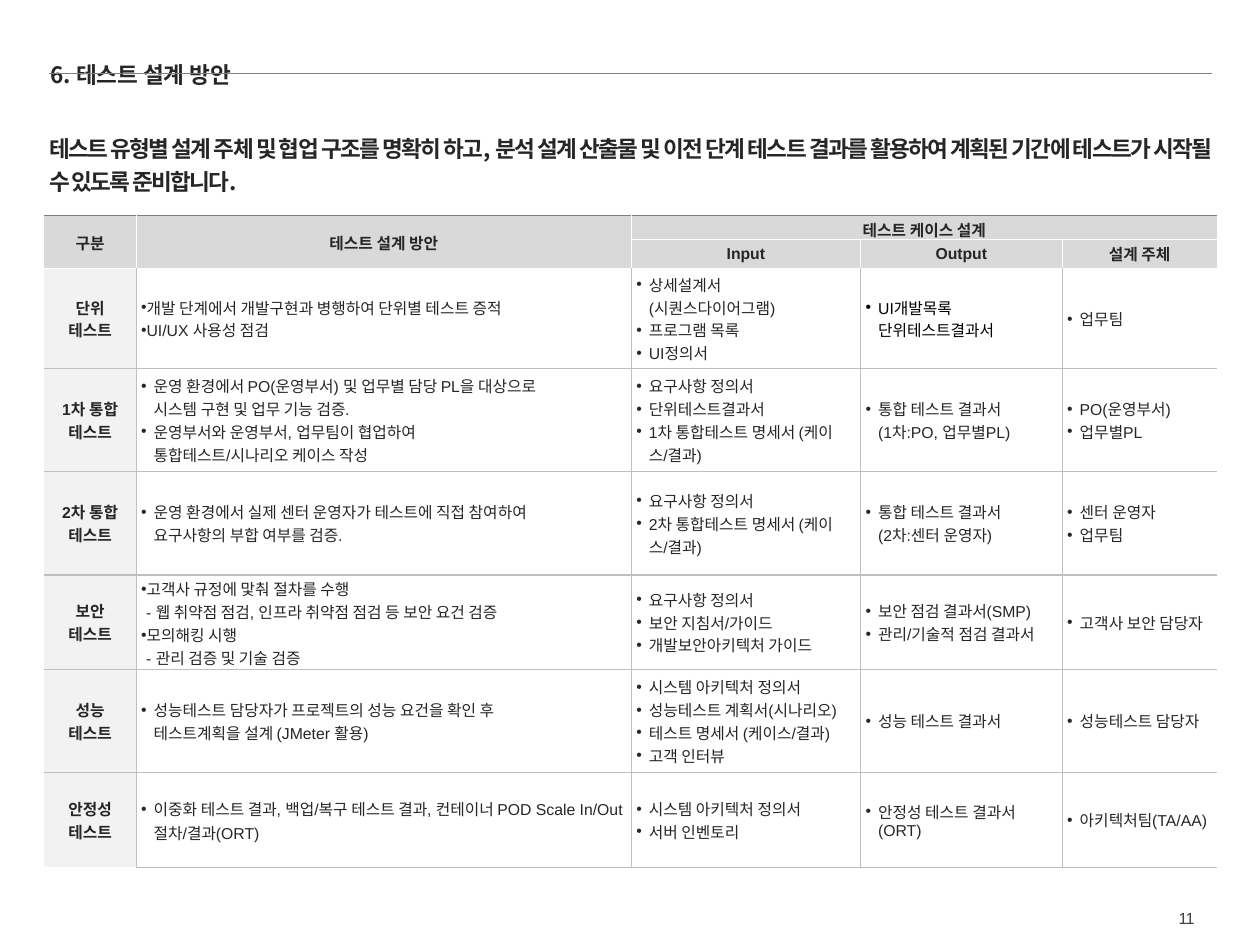
from dataclasses import dataclass

from lxml.etree import SubElement
from pptx import Presentation
from pptx.dml.color import RGBColor
from pptx.enum.dml import MSO_LINE
from pptx.enum.shapes import MSO_CONNECTOR as CONNECTOR
from pptx.enum.text import MSO_ANCHOR as ANCHOR, MSO_AUTO_SIZE as AUTO_SIZE, PP_ALIGN as ALIGN
from pptx.oxml.ns import qn
from pptx.util import Inches, Pt


@dataclass(frozen=True)
class Theme:
    ink: str = "262626"
    black: str = "000000"
    number: str = "404040"
    rule: str = "808080"
    grid: str = "BFBFBF"
    white: str = "FFFFFF"
    header: str = "D9D9D9"
    label: str = "F2F2F2"
    latin: str = "Arial"
    korean: str = "Noto Sans CJK KR"
    heading_size: float = 12.9
    table_size: float = 9
    number_size: float = 9.2


THEME = Theme()
TIGHT, HANGING = (0.04, -0.08), (0.1, -0.1)  # left margin and first-line indent

COLUMNS = [0.73, 3.93, 1.82, 1.6, 1.23]
ROWS = [0.19, 0.19, 0.79, 0.82, 0.82, 0.75, 0.82, 0.75]
HEADERS = {
    (0, 0): "구분", (0, 1): "테스트 설계 방안", (0, 2): "테스트 케이스 설계",
    (1, 2): "Input", (1, 3): "Output", (1, 4): "설계 주체",
}
MERGES = [((0, 0), (1, 0)), ((0, 1), (1, 1)), ((0, 2), (0, 4))]
# label, plan, input, output, owner
TESTS = [
    (["단위", "테스트"],
     ["개발 단계에서 개발구현과 병행하여 단위별 테스트 증적", "UI/UX 사용성 점검"],
     ["상세설계서\n(시퀀스다이어그램)", "프로그램 목록", "UI정의서"],
     ["UI개발목록\n단위테스트결과서"],
     ["업무팀"]),
    (["1차 통합 테스트"],
     ["운영 환경에서 PO(운영부서) 및 업무별 담당 PL을 대상으로\n시스템 구현 및 업무 기능 검증.",
      "운영부서와 운영부서, 업무팀이 협업하여\n통합테스트/시나리오 케이스 작성"],
     ["요구사항 정의서", "단위테스트결과서", "1차 통합테스트 명세서 (케이스/결과)"],
     ["통합 테스트 결과서\n(1차:PO, 업무별PL)"],
     ["PO(운영부서)", "업무별PL"]),
    (["2차 통합 테스트"],
     ["운영 환경에서 실제 센터 운영자가 테스트에 직접 참여하여\n요구사항의 부합 여부를 검증."],
     ["요구사항 정의서", "2차 통합테스트 명세서 (케이스/결과)"],
     ["통합 테스트 결과서\n(2차:센터 운영자)"],
     ["센터 운영자", "업무팀"]),
    (["보안", "테스트"],
     ["고객사 규정에 맟춰 절차를 수행", "- 웹 취약점 점검, 인프라 취약점 점검 등 보안 요건 검증",
      "모의해킹 시행", "- 관리 검증 및 기술 검증"],
     ["요구사항 정의서", "보안 지침서/가이드", "개발보안아키텍처 가이드"],
     ["보안 점검 결과서(SMP)", "관리/기술적 점검 결과서"],
     ["고객사 보안 담당자"]),
    (["성능", "테스트"],
     ["성능테스트 담당자가 프로젝트의 성능 요건을 확인 후\n테스트계획을 설계 (JMeter 활용)"],
     ["시스템 아키텍처 정의서", "성능테스트 계획서(시나리오)", "테스트 명세서 (케이스/결과)", "고객 인터뷰"],
     ["성능 테스트 결과서"],
     ["성능테스트 담당자"]),
    (["안정성", "테스트"],
     ["이중화 테스트 결과, 백업/복구 테스트 결과, 컨테이너 POD Scale In/Out 절차/결과(ORT)"],
     ["시스템 아키텍처 정의서", "서버 인벤토리"],
     ["안정성 테스트 결과서 (ORT)"],
     ["아키텍처팀(TA/AA)"]),
]


def color(code):
    return RGBColor.from_string(code)


def write(para, text, size, latin, ink=THEME.ink, bold=False, spacing=0):
    for number, line in enumerate(text.split("\n")):
        if number:
            para.add_line_break()
        span = para.add_run()
        span.text = line
        font = span.font
        font.size, font.bold, font.name = Pt(size), bold, latin
        font.color.rgb = color(ink)
        properties = span._r.get_or_add_rPr()
        SubElement(properties, qn("a:ea"), typeface=THEME.korean)
        if spacing:
            properties.set("spc", str(round(spacing * 100)))


def set_insets(target, sides, ends):
    target.margin_left = target.margin_right = Inches(sides)
    target.margin_top = target.margin_bottom = Inches(ends)


def set_indent(para, margin, first, bullet):
    properties = para._p.get_or_add_pPr()
    properties.set("marL", str(Inches(margin)))
    properties.set("indent", str(Inches(first)))
    if bullet:
        SubElement(properties, qn("a:buFont"), typeface=THEME.latin)
        SubElement(properties, qn("a:buChar"), char="•")


def set_borders(cell, **edges):
    """Draw each edge given as (colour, points); the others stay empty."""
    properties = cell._tc.get_or_add_tcPr()
    for place, side in enumerate(("left", "right", "top", "bottom")):
        edge = edges.get(side)
        line = SubElement(properties, qn("a:ln" + side[0].upper()))
        properties.insert(place, line)
        if edge:
            line.set("w", str(Pt(edge[1])))
            fill = SubElement(line, qn("a:solidFill"))
            SubElement(fill, qn("a:srgbClr"), val=edge[0])
        else:
            SubElement(line, qn("a:noFill"))


def cell_edges(row, column):
    white, grid = (THEME.white, 0.75), (THEME.grid, 0.75)
    edge = white if row < 2 else grid
    edges = {"top": edge, "bottom": edge}
    if row == 0:
        edges["top"] = (THEME.rule, 1)
    elif row == 2:
        edges["top"] = white
    if row == len(ROWS) - 1 and column == 0:
        edges["bottom"] = white
    if column > 0:
        edges["left"] = edge
    if column < len(COLUMNS) - 1 and (row, column) != (0, 2):
        edges["right"] = edge
    return edges


def write_items(cell, items, row, column):
    for number, item in enumerate(items):
        frame = cell.text_frame
        para = frame.add_paragraph() if number else frame.paragraphs[0]
        centered = row < 2 or column == 0
        last_plan = row == len(ROWS) - 1 and column == 1
        if centered:
            para.alignment = ALIGN.CENTER
        elif item.startswith("- "):
            set_indent(para, TIGHT[0], 0, bullet=False)
        else:
            tight = column == 1 and "\n" not in item and not last_plan
            set_indent(para, *(TIGHT if tight else HANGING), bullet=True)
        if last_plan or (row, column) == (0, 0):
            para.line_spacing = Pt(14)
        ink = THEME.black if (row, column) == (2, 3) else THEME.ink
        write(para, item, THEME.table_size, THEME.latin, ink, bold=centered)


def add_test_table(page, left, top):
    table = page.shapes.add_table(len(ROWS), len(COLUMNS), Inches(left), Inches(top),
                                  Inches(sum(COLUMNS)), Inches(sum(ROWS))).table
    table.first_row = table.horz_banding = False
    for column, width in zip(table.columns, COLUMNS):
        column.width = Inches(width)
    for row, height in zip(table.rows, ROWS):
        row.height = Inches(height)
    for start, end in MERGES:
        table.cell(*start).merge(table.cell(*end))
    for row in range(len(ROWS)):
        for column in range(len(COLUMNS)):
            cell = table.cell(row, column)
            shade = THEME.header if row < 2 else THEME.label if column == 0 else THEME.white
            cell.fill.solid()
            cell.fill.fore_color.rgb = color(shade)
            if cell.is_spanned:
                continue
            set_insets(cell, 0.04, 0.02)
            cell.vertical_anchor = ANCHOR.MIDDLE
            set_borders(cell, **cell_edges(row, column))
            items = [HEADERS[row, column]] if row < 2 else TESTS[row - 2][column]
            write_items(cell, items, row, column)


def add_title(page, left, top, width, height):
    rule = page.shapes.add_connector(CONNECTOR.STRAIGHT, Inches(0.39), Inches(0.58),
                                     Inches(9.61), Inches(0.58))
    rule.line.color.rgb = color(THEME.rule)
    rule.line.width = Pt(0.25)
    rule.line.dash_style = MSO_LINE.ROUND_DOT
    SubElement(rule._element.spPr, qn("a:effectLst"))
    title = page.shapes.title
    title.left, title.top, title.width, title.height = map(Inches, (left, top, width, height))
    frame = title.text_frame
    frame.auto_size, frame.vertical_anchor = AUTO_SIZE.NONE, ANCHOR.MIDDLE
    para = frame.paragraphs[0]
    para.alignment = ALIGN.LEFT
    write(para, "6. 테스트 설계 방안", THEME.heading_size, THEME.korean, bold=True)


def add_text_box(page, left, top, width, height, inset, wrap, alignment, leading):
    frame = page.shapes.add_textbox(*map(Inches, (left, top, width, height))).text_frame
    frame.word_wrap = wrap
    set_insets(frame, inset, inset)
    para = frame.paragraphs[0]
    para.alignment, para.line_spacing = alignment, leading
    return frame


def add_message(page, left, top, width, height):
    frame = add_text_box(page, left, top, width, height, 0.04, True, ALIGN.JUSTIFY, Pt(18.5))
    write(frame.paragraphs[0], "테스트 유형별 설계 주체 및 협업 구조를 명확히 하고, 분석 설계 산출물 및 이전 단계 "
          "테스트 결과를 활용하여 계획된 기간에 테스트가 시작될 수 있도록 준비합니다.",
          THEME.heading_size, THEME.korean, bold=True, spacing=-0.9)


def add_page_number(page, left, top, width, height):
    frame = add_text_box(page, left, top, width, height, 0, False, ALIGN.RIGHT, 1.1)
    frame.vertical_anchor = ANCHOR.MIDDLE
    write(frame.paragraphs[0], "11", THEME.number_size, THEME.latin, THEME.number, spacing=-0.6)


def main():
    deck = Presentation()
    deck.slide_width, deck.slide_height = Inches(10), Inches(7.5)
    page = deck.slides.add_slide(deck.slide_layouts[5])
    add_title(page, 0.3, 0.43, 5.16, 0.33)
    add_message(page, 0.35, 0.99, 9.3, 0.55)
    add_test_table(page, 0.35, 1.71)
    add_page_number(page, 9.34, 7.2, 0.14, 0.16)
    deck.save("out.pptx")


if __name__ == "__main__":
    main()
